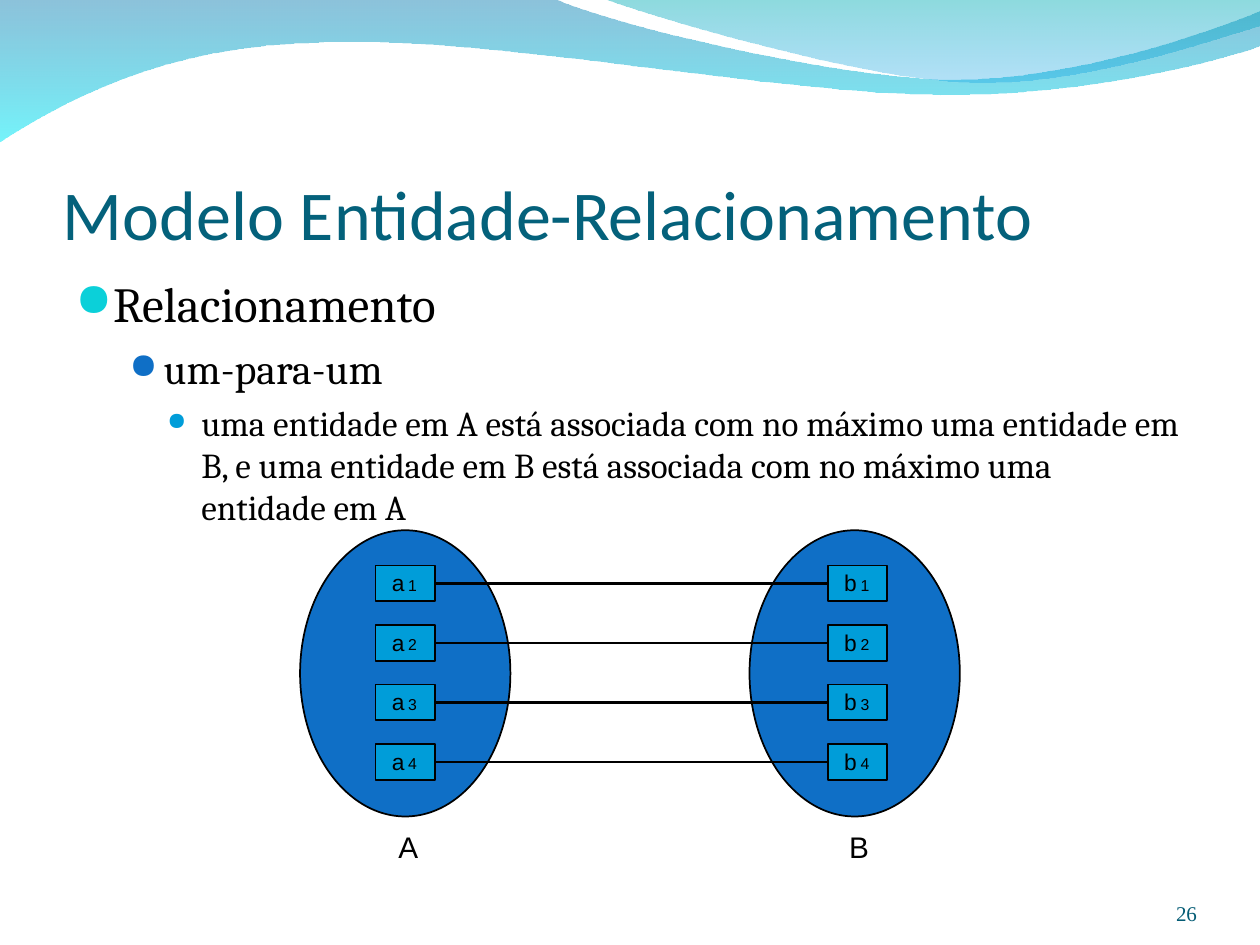
from dataclasses import dataclass

from lxml import etree
from pptx import Presentation
from pptx.dml.color import RGBColor
from pptx.enum.shapes import MSO_CONNECTOR, MSO_SHAPE
from pptx.enum.text import MSO_ANCHOR, PP_ALIGN
from pptx.oxml.ns import qn
from pptx.util import Cm, Pt

STRAIGHT = MSO_CONNECTOR.STRAIGHT
OVAL, RECT = MSO_SHAPE.OVAL, MSO_SHAPE.RECTANGLE
TOP, BOTTOM = MSO_ANCHOR.TOP, MSO_ANCHOR.BOTTOM
LEFT, RIGHT = PP_ALIGN.LEFT, PP_ALIGN.RIGHT
SITE_LEFT, SITE_RIGHT = 1, 3


@dataclass(frozen=True)
class Theme:
    title: str = "04617B"
    number: str = "045C75"
    black: str = "000000"
    entity_set: str = "0F6FC6"
    entity: str = "009DD9"
    # Font name and size of each text role
    title_font: tuple = ("Calibri", 40)
    number_font: tuple = ("Times New Roman", 12)
    set_font: tuple = ("Arial", 17)
    entity_font: tuple = ("Arial", 13)
    index_font: tuple = ("Arial", 9)
    body_font: str = "Cambria"
    # Per level: size, space before, margin, hanging, bullet colour, bullet %
    levels: tuple = (
        (28, 0, 0.76, 0.76, "0BD0D9", 95),
        (24, 6, 1.78, 0.69, "0F6FC6", 85),
        (20, 5, 2.54, 0.69, "009DD9", 70),
    )
    # Gradient stops: colour, opacity %
    back_wave: tuple = (("0079AF", 45), ("00EBF8", 55))
    front_wave: tuple = (("00ADB6", 45), ("009BE5", 30))


THEME = Theme()

# Wave outlines in cm: pairs are line ends, sixes are Bézier segments
BACK_WAVE = [
    (0, -0.02), (11.18, -0.02),
    (12.09, 0.43, 16.87, 1.6, 19.25, 1.6),
    (21.67, 1.6, 24.33, 0.66, 25.4, 0.23),
    (25.43, 0.91),
    (24.97, 1.12, 22.1, 1.93, 18.95, 1.91),
    (15.8, 1.91, 9.7, 0.71, 6.53, 0.86),
    (3.28, 0.89, 1.17, 2.11, -0.02, 2.87),
]
FRONT_WAVE = [
    (12.17, -0.02),
    (12.93, 0.28, 17.32, 1.57, 19.53, 1.65),
    (21.74, 1.75, 24.41, 0.81, 25.4, 0.53),
    (25.4, 0),
]

BODY = [
    "Relacionamento",
    "um-para-um",
    "uma entidade em A está associada com no máximo uma entidade em B, "
    "e uma entidade em B está associada com no máximo uma entidade em A",
]


def rgb(color):
    return RGBColor.from_string(color)


def add_run(p, text, font, color):
    r = p.add_run()
    r.text = text
    r.font.name, size = font
    r.font.size = Pt(size)
    r.font.color.rgb = rgb(color)


def add_frame(s, x, y, w, h, insets=(0, 0, 0, 0), anchor=TOP, wrap=True):
    tf = s.shapes.add_textbox(Cm(x), Cm(y), Cm(w), Cm(h)).text_frame
    (tf.margin_left, tf.margin_top,
     tf.margin_right, tf.margin_bottom) = map(Cm, insets)
    tf.vertical_anchor = anchor
    tf.word_wrap = wrap
    return tf


def add_label(s, x, y, w, h, text, font, color=THEME.black, align=LEFT, **frame):
    p = add_frame(s, x, y, w, h, **frame).paragraphs[0]
    p.alignment = align
    add_run(p, text, font, color)


def add_body(s):
    tf = add_frame(s, 1.27, 5.38, 22.86, 12.19, (0.25, 0.13, 0.25, 0.13))
    for level, (text, style) in enumerate(zip(BODY, THEME.levels)):
        size, before, margin, hanging, color, percent = style
        p = tf.paragraphs[0] if level == 0 else tf.add_paragraph()
        p.level = level
        p.space_before = Pt(before)
        pPr = p._p.get_or_add_pPr()
        pPr.set("marL", str(Cm(margin)))
        pPr.set("indent", str(-Cm(hanging)))
        clr = etree.SubElement(pPr, qn("a:buClr"))
        etree.SubElement(clr, qn("a:srgbClr"), val=color)
        etree.SubElement(pPr, qn("a:buSzPct"), val=str(percent * 1000))
        etree.SubElement(pPr, qn("a:buChar"), char="●")
        add_run(p, text, (THEME.body_font, size), THEME.black)


def curve_points(start, segment, steps=16):
    """Points along a cubic Bézier segment, without its start."""
    x1, y1, x2, y2, x3, y3 = segment
    for i in range(1, steps + 1):
        t = i / steps
        u = 1 - t
        yield tuple(u**3 * a + 3 * u * u * t * b + 3 * u * t * t * c + t**3 * d
                    for a, b, c, d in zip(start, (x1, y1), (x2, y2), (x3, y3)))


def add_wave(s, outline, stops):
    points = [outline[0]]
    for part in outline[1:]:
        points += curve_points(points[-1], part) if len(part) == 6 else [part]
    start, *rest = [(Cm(x), Cm(y)) for x, y in points]
    fb = s.shapes.build_freeform(*start)
    fb.add_line_segments(rest, close=True)
    sp = fb.convert_to_shape()
    sp.shadow.inherit = False
    sp.line.fill.background()
    sp.fill.gradient()
    sp.fill.gradient_angle = 270
    for stop, position, (color, opacity) in zip(sp.fill.gradient_stops, (0, 1), stops):
        stop.position = position
        stop.color.rgb = rgb(color)
    for clr, (_, opacity) in zip(sp._element.spPr.iter(qn("a:srgbClr")), stops):
        etree.SubElement(clr, qn("a:alpha"), val=str(opacity * 1000))


def add_outlined(s, kind, x, y, w, h, color):
    sp = s.shapes.add_shape(kind, Cm(x), Cm(y), Cm(w), Cm(h))
    sp.shadow.inherit = False
    sp.fill.solid()
    sp.fill.fore_color.rgb = rgb(color)
    sp.line.color.rgb = rgb(THEME.black)
    sp.line.width = Pt(1)
    return sp


def add_entity_set(s, name, oval_x, box_x, label_x):
    """Draw a named set of four entities and return their boxes."""
    add_outlined(s, OVAL, oval_x, 10.69, 4.24, 5.77, THEME.entity_set)
    boxes = []
    for i in range(4):
        y = 11.4 + 1.2 * i
        boxes.append(add_outlined(s, RECT, box_x, y, 1.2, 0.72, THEME.entity))
        add_label(s, box_x + 0.33, y + 0.07, 0.25, 0.56, name.lower(),
                  THEME.entity_font, wrap=False)
        add_label(s, box_x + 0.66, y + 0.2, 0.18, 0.38, str(i + 1),
                  THEME.index_font, wrap=False)
    add_label(s, label_x, 16.71, 0.41, 0.71, name, THEME.set_font, wrap=False)
    return boxes


def add_link(s, a, b):
    c = s.shapes.add_connector(STRAIGHT, 0, 0, 0, 0)
    c.begin_connect(a, SITE_RIGHT)
    c.end_connect(b, SITE_LEFT)
    c.line.color.rgb = rgb(THEME.black)
    c.line.width = Pt(1.5)
    etree.SubElement(c._element.spPr, qn("a:effectLst"))


def main():
    prs = Presentation()
    prs.slide_width, prs.slide_height = Cm(25.4), Cm(19.05)
    s = prs.slides.add_slide(prs.slide_layouts[6])

    # Decorative waves
    add_wave(s, BACK_WAVE, THEME.back_wave)
    add_wave(s, FRONT_WAVE, THEME.front_wave)

    # Title, bullets and slide number
    add_label(s, 1.27, 1.96, 22.86, 3.17, "Modelo Entidade-Relacionamento",
              THEME.title_font, THEME.title, insets=(0, 0.13, 0, 0), anchor=BOTTOM)
    add_body(s)
    add_label(s, 22.02, 17.65, 2.11, 1.02, "26", THEME.number_font,
              THEME.number, RIGHT, anchor=BOTTOM)

    # One-to-one diagram
    a_boxes = add_entity_set(s, "A", 6.05, 7.57, 8.03)
    b_boxes = add_entity_set(s, "B", 15.11, 16.69, 17.12)
    for a, b in zip(a_boxes, b_boxes):
        add_link(s, a, b)

    prs.save("out.pptx")


if __name__ == "__main__":
    main()
